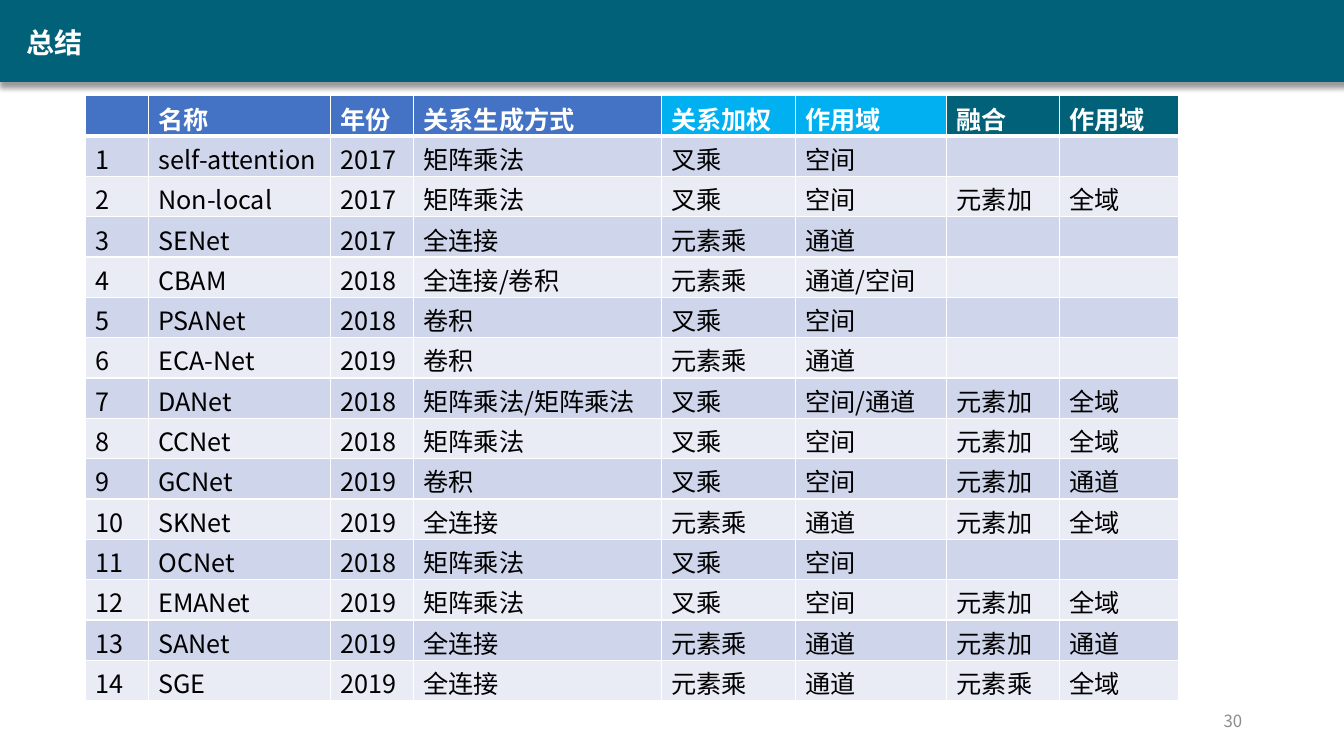
from typing import NamedTuple

from lxml.etree import SubElement
from pptx import Presentation
from pptx.dml.color import RGBColor
from pptx.enum.shapes import MSO_SHAPE
from pptx.enum.text import MSO_ANCHOR, MSO_AUTO_SIZE, PP_ALIGN
from pptx.oxml import parse_xml
from pptx.oxml.ns import nsdecls, qn
from pptx.util import Inches, Length, Pt

SLIDE_WIDTH, SLIDE_HEIGHT = Inches(13.33), Inches(7.5)
FONT = "Noto Sans CJK SC"

TEAL = RGBColor(0x01, 0x61, 0x79)
BLUE = RGBColor(0x44, 0x72, 0xC4)
SKY = RGBColor(0x00, 0xB0, 0xF0)
ODD_ROW = RGBColor(0xCF, 0xD5, 0xEA)
EVEN_ROW = RGBColor(0xE9, 0xEB, 0xF5)
WHITE = RGBColor(0xFF, 0xFF, 0xFF)
BLACK = RGBColor(0x00, 0x00, 0x00)
GRAY = RGBColor(0x8C, 0x8C, 0x8C)


class Box(NamedTuple):
    """Place and size in percent of the slide."""
    left: float
    top: float
    width: float
    height: float

    def lengths(self) -> tuple:
        return (across(self.left), down(self.top),
                across(self.width), down(self.height))


class Column(NamedTuple):
    heading: str
    width: float  # percent of the slide's width
    fill: RGBColor


class Method(NamedTuple):
    name: str
    year: int
    relation: str
    weighting: str
    scope: str
    fusion: str = ""
    fusion_scope: str = ""


BANNER = Box(0, 0, 100.15, 10.8)
TITLE = Box(1.2, 1.87, 5.7, 6.4)
PAGE_NUMBER = Box(70.67, 92.67, 22.5, 5.33)
TABLE = Box(6.38, 12.67, 81.25, 80)

COLUMNS = [
    Column("", 4.65, BLUE),
    Column("名称", 13.58, BLUE),
    Column("年份", 6.15, BLUE),
    Column("关系生成方式", 18.45, BLUE),
    Column("关系加权", 9.98, SKY),
    Column("作用域", 11.25, SKY),
    Column("融合", 8.4, TEAL),
    Column("作用域", 8.85, TEAL),
]

METHODS = [
    Method("self-attention", 2017, "矩阵乘法", "叉乘", "空间"),
    Method("Non-local", 2017, "矩阵乘法", "叉乘", "空间", "元素加", "全域"),
    Method("SENet", 2017, "全连接", "元素乘", "通道"),
    Method("CBAM", 2018, "全连接/卷积", "元素乘", "通道/空间"),
    Method("PSANet", 2018, "卷积", "叉乘", "空间"),
    Method("ECA-Net", 2019, "卷积", "元素乘", "通道"),
    Method("DANet", 2018, "矩阵乘法/矩阵乘法", "叉乘", "空间/通道", "元素加", "全域"),
    Method("CCNet", 2018, "矩阵乘法", "叉乘", "空间", "元素加", "全域"),
    Method("GCNet", 2019, "卷积", "叉乘", "空间", "元素加", "通道"),
    Method("SKNet", 2019, "全连接", "元素乘", "通道", "元素加", "全域"),
    Method("OCNet", 2018, "矩阵乘法", "叉乘", "空间"),
    Method("EMANet", 2019, "矩阵乘法", "叉乘", "空间", "元素加", "全域"),
    Method("SANet", 2019, "全连接", "元素乘", "通道", "元素加", "通道"),
    Method("SGE", 2019, "全连接", "元素乘", "通道", "元素乘", "全域"),
]


def across(percent: float) -> Length:
    return Length(round(SLIDE_WIDTH * percent / 100))


def down(percent: float) -> Length:
    return Length(round(SLIDE_HEIGHT * percent / 100))


def write(text_frame, text: str, size: float, color: RGBColor,
          bold: bool = False):
    """Set one paragraph of text, format its runs and return it."""
    text_frame.text = text
    paragraph = text_frame.paragraphs[0]
    for run in paragraph.runs:
        run.font.size = Pt(size)
        run.font.bold = bold
        run.font.name = FONT
        run.font.color.rgb = color
        SubElement(run.font._element, qn("a:ea")).set("typeface", FONT)
    return paragraph


def add_banner(slide):
    banner = slide.shapes.add_shape(MSO_SHAPE.RECTANGLE, *BANNER.lengths())
    banner.fill.solid()
    banner.fill.fore_color.rgb = TEAL
    banner.line.color.rgb = TEAL
    banner.line.width = Pt(1)
    # Soft shadow below the banner
    banner._element.spPr.append(parse_xml(
        f'<a:effectLst {nsdecls("a")}><a:outerShdw blurRad="{Pt(4)}" '
        f'dist="{Pt(3)}" dir="5400000" algn="t" rotWithShape="0">'
        '<a:srgbClr val="000000"><a:alpha val="40000"/></a:srgbClr>'
        '</a:outerShdw></a:effectLst>'))
    return banner


def format_title(title) -> None:
    title.left, title.top, title.width, title.height = TITLE.lengths()
    frame = title.text_frame
    paragraph = write(frame, "总结", 20, WHITE, bold=True)
    paragraph.alignment = PP_ALIGN.LEFT
    paragraph.line_spacing = 1.25
    paragraph.space_before = Pt(0)
    frame.vertical_anchor = MSO_ANCHOR.MIDDLE
    frame.word_wrap = False
    frame.auto_size = MSO_AUTO_SIZE.SHAPE_TO_FIT_TEXT


def add_page_number(slide) -> None:
    frame = slide.shapes.add_textbox(*PAGE_NUMBER.lengths()).text_frame
    frame.word_wrap = True
    frame.vertical_anchor = MSO_ANCHOR.MIDDLE
    write(frame, "30", 12, GRAY).alignment = PP_ALIGN.RIGHT


def set_borders(cell, top: float, bottom: float) -> None:
    """Draw white cell borders; they must stand before the fill."""
    widths = {"lnL": 1, "lnR": 1, "lnT": top, "lnB": bottom}
    for position, (side, width) in enumerate(widths.items()):
        cell._tc.get_or_add_tcPr().insert(position, parse_xml(
            f'<a:{side} {nsdecls("a")} w="{Pt(width)}"><a:solidFill>'
            f'<a:srgbClr val="{WHITE}"/></a:solidFill></a:{side}>'))


def fill_cell(cell, text: str, fill: RGBColor, color: RGBColor,
              bold: bool) -> None:
    cell.margin_top, cell.margin_bottom = Inches(0.04), 0
    cell.fill.solid()
    cell.fill.fore_color.rgb = fill
    write(cell.text_frame, text, 18, color, bold)


def add_summary_table(slide) -> None:
    table = slide.shapes.add_table(
        len(METHODS) + 1, len(COLUMNS), *TABLE.lengths()).table
    # Heading row
    for index, column in enumerate(COLUMNS):
        table.columns[index].width = across(column.width)
        cell = table.cell(0, index)
        fill_cell(cell, column.heading, column.fill, WHITE, bold=True)
        set_borders(cell, top=1, bottom=3)
    # One banded row for each method
    for number, method in enumerate(METHODS, start=1):
        fill = ODD_ROW if number % 2 else EVEN_ROW
        for index, value in enumerate((number, *method)):
            cell = table.cell(number, index)
            fill_cell(cell, str(value), fill, BLACK, bold=False)
            set_borders(cell, top=3 if number == 1 else 1, bottom=1)


def main() -> None:
    presentation = Presentation()
    presentation.slide_width = SLIDE_WIDTH
    presentation.slide_height = SLIDE_HEIGHT
    slide = presentation.slides.add_slide(presentation.slide_layouts[5])
    title = slide.shapes.title
    banner = add_banner(slide)
    title._element.addprevious(banner._element)  # banner behind the title
    format_title(title)
    add_page_number(slide)
    add_summary_table(slide)
    presentation.save("out.pptx")


if __name__ == "__main__":
    main()
